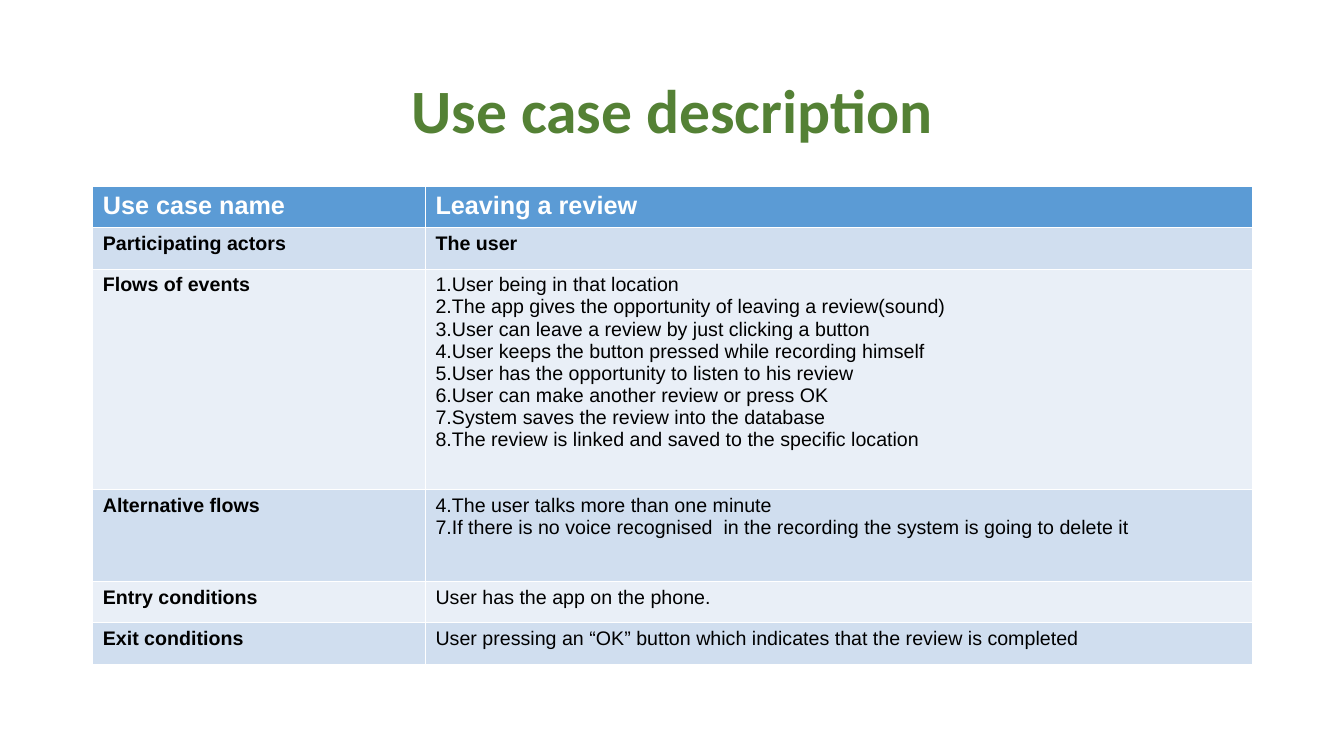
from pptx import Presentation
from pptx.dml.color import RGBColor
from pptx.enum.text import MSO_ANCHOR as Anchor, PP_ALIGN as Align
from pptx.util import Inches, Pt

COLORS = {
    "title": "548135",
    "header": "5B9BD5",
    "odd_row": "D0DEEF",
    "even_row": "E9EFF7",
    "header_text": "FFFFFF",
    "body_text": "000000",
}


def format_font(font, color, **values):
    for name, value in values.items():
        setattr(font, name, value)
    font.color.rgb = RGBColor.from_string(COLORS[color])


deck = Presentation()
deck.slide_width, deck.slide_height = Inches(13.33), Inches(7.5)
slide = deck.slides.add_slide(deck.slide_layouts[5])

# Title
title = slide.shapes.title
title_place = {"left": 0.92, "top": 0.4, "width": 11.5, "height": 1.45}
for side, length in title_place.items():
    setattr(title, side, Inches(length))
title.text_frame.text = "Use case description"
title.text_frame.vertical_anchor = Anchor.MIDDLE
heading = title.text_frame.paragraphs[0]
heading.alignment = Align.CENTER
heading.line_spacing = 0.9
format_font(heading.runs[0].font, "title", name="Calibri", size=Pt(44), bold=True)

# Use case: row height, label, lines of description
use_case = [
    (0.41, "Use case name", ["Leaving a review"]),
    (0.41, "Participating actors", ["The user"]),
    (2.19, "Flows of events", [
        "1.User being in that location",
        "2.The app gives the opportunity of leaving a review(sound)",
        "3.User can leave a review by just clicking a button",
        "4.User keeps the button pressed while recording himself",
        "5.User has the opportunity to listen to his review",
        "6.User can make another review or press OK",
        "7.System saves the review into the database",
        "8.The review is linked and saved to the specific location",
    ]),
    (0.91, "Alternative flows", [
        "4.The user talks more than one minute",
        "7.If there is no voice recognised  in the recording the system is going to delete it",
    ]),
    (0.41, "Entry conditions", ["User has the app on the phone."]),
    (0.41, "Exit conditions", [
        "User pressing an “OK” button which indicates that the review is completed",
    ]),
]

# Table; its built-in style draws the white borders
column_widths = [3.3, 8.2]
table_height = sum(height for height, _, _ in use_case)
table = slide.shapes.add_table(
    len(use_case), len(column_widths), Inches(0.92), Inches(1.85),
    Inches(sum(column_widths)), Inches(table_height)).table
for column, width in zip(table.columns, column_widths):
    column.width = Inches(width)

for row, (height, label, description) in enumerate(use_case):
    table.rows[row].height = Inches(height)
    is_header = row == 0
    fill = "header" if is_header else "odd_row" if row % 2 else "even_row"
    for col, lines in enumerate([[label], description]):
        cell = table.cell(row, col)
        cell.fill.solid()
        cell.fill.fore_color.rgb = RGBColor.from_string(COLORS[fill])
        cell.text = "\n".join(lines)
        for paragraph in cell.text_frame.paragraphs:
            format_font(
                paragraph.runs[0].font,
                "header_text" if is_header else "body_text",
                name="Arial",
                size=Pt(18 if is_header else 14),
                bold=col == 0 or row < 2,
            )

deck.save("out.pptx")
